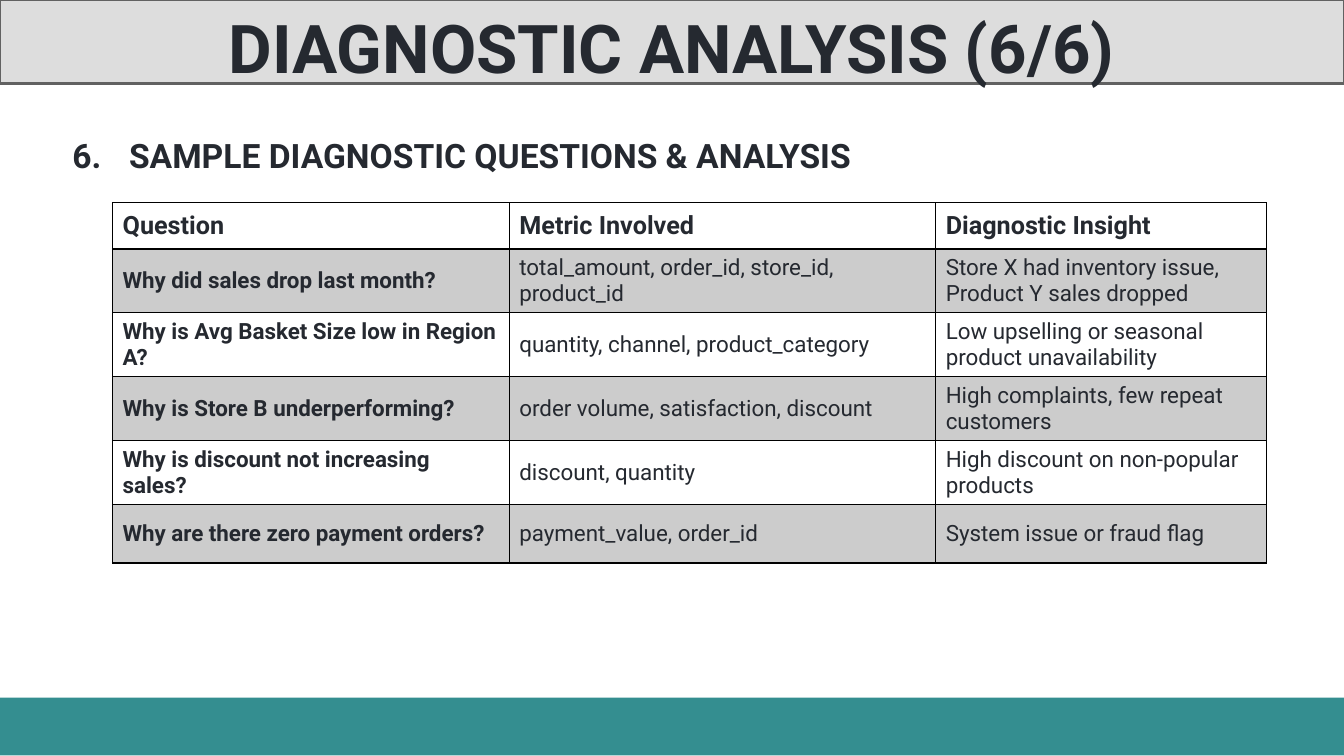
from lxml.etree import SubElement
from pptx import Presentation
from pptx.dml.color import RGBColor
from pptx.enum.shapes import MSO_SHAPE as Shape
from pptx.enum.text import MSO_ANCHOR as Anchor, MSO_AUTO_SIZE as AutoSize, PP_ALIGN as Align
from pptx.oxml.ns import qn
from pptx.util import Pt

# Content
TITLE = "DIAGNOSTIC ANALYSIS (6/6)"
SECTION_NUMBER = 6
SECTION = "SAMPLE DIAGNOSTIC QUESTIONS & ANALYSIS"
TABLE_ROWS = [
    ("Question", "Metric Involved", "Diagnostic Insight"),
    ("Why did sales drop last month?", "total_amount, order_id, store_id, product_id",
     "Store X had inventory issue, Product Y sales dropped"),
    ("Why is Avg Basket Size low in Region A?", "quantity, channel, product_category",
     "Low upselling or seasonal product unavailability"),
    ("Why is Store B underperforming?", "order volume, satisfaction, discount",
     "High complaints, few repeat customers"),
    ("Why is discount not increasing sales?", "discount, quantity",
     "High discount on non-popular products"),
    ("Why are there zero payment orders?", "payment_value, order_id",
     "System issue or fraud flag"),
]


class Theme:
    font = "Roboto"
    text = RGBColor.from_string("252930")
    teal = RGBColor.from_string("348E90")
    bar = RGBColor.from_string("DDDDDD")
    bar_line = RGBColor.from_string("616161")
    black = "000000"
    band_alpha = 20
    title_size, section_size, header_size, body_size = 48, 24, 18, 16


# Layout in points
SLIDE_WIDTH, SLIDE_HEIGHT = 960, 540
TITLE_HEIGHT, TITLE_SPACING = 59.8, 64.3
FOOTER_TOP, FOOTER_HEIGHT = 498.4, 41.2
SECTION_BOX = (44.6, 78.5, 860.4, 46.1)
SECTION_INDENT = 40.5
TABLE_LEFT, TABLE_TOP = 80.4, 144.8
COLUMN_WIDTHS = (283.4, 304.6, 236.4)
HEADER_HEIGHT, ROW_HEIGHT = 33.1, 41.8


def place(shape, left, top, width, height):
    values = dict(left=left, top=top, width=width, height=height)
    for name, value in values.items():
        setattr(shape, name, Pt(value))


def write(paragraph, text, size, bold=True):
    run = paragraph.add_run()
    run.text = text
    formats = dict(name=Theme.font, size=Pt(size), bold=bold)
    for name, value in formats.items():
        setattr(run.font, name, value)
    run.font.color.rgb = Theme.text


def add_borders(cell, bottom_width):
    properties = cell._tc.get_or_add_tcPr()
    widths = {"a:lnL": 1, "a:lnR": 1, "a:lnT": 1, "a:lnB": bottom_width}
    for tag, width in widths.items():
        line = SubElement(properties, qn(tag), w=str(Pt(width)))
        fill = SubElement(line, qn("a:solidFill"))
        SubElement(fill, qn("a:srgbClr"), val=Theme.black)


def fill_band(cell):
    cell.fill.solid()
    cell.fill.fore_color.rgb = RGBColor.from_string(Theme.black)
    color = cell._tc.tcPr.find(qn("a:solidFill")).find(qn("a:srgbClr"))
    SubElement(color, qn("a:alpha"), val=str(Theme.band_alpha * 1000))


def add_footer(slide):
    footer = slide.shapes.add_shape(
        Shape.RECTANGLE, 0, Pt(FOOTER_TOP), Pt(SLIDE_WIDTH), Pt(FOOTER_HEIGHT))
    footer.shadow.inherit = False
    footer.fill.solid()
    footer.fill.fore_color.rgb = Theme.teal
    footer.line.fill.background()


def add_title(slide):
    title = slide.shapes.title
    place(title, 0, 0, SLIDE_WIDTH, TITLE_HEIGHT)
    title.fill.solid()
    title.fill.fore_color.rgb = Theme.bar
    title.line.color.rgb = Theme.bar_line
    title.line.width = Pt(2)
    frame = title.text_frame
    frame.auto_size = AutoSize.NONE
    frame.vertical_anchor = Anchor.MIDDLE
    paragraph = frame.paragraphs[0]
    paragraph.alignment = Align.CENTER
    paragraph.line_spacing = Pt(TITLE_SPACING)
    write(paragraph, TITLE, Theme.title_size)


def add_section(slide):
    box = slide.shapes.add_textbox(*map(Pt, SECTION_BOX))
    frame = box.text_frame
    frame.word_wrap = True
    frame.auto_size = AutoSize.SHAPE_TO_FIT_TEXT
    paragraph = frame.paragraphs[0]
    properties = paragraph._p.get_or_add_pPr()
    properties.set("marL", str(Pt(SECTION_INDENT)))
    properties.set("indent", str(-Pt(SECTION_INDENT)))
    SubElement(properties, qn("a:buFont"), typeface=Theme.font)
    SubElement(properties, qn("a:buAutoNum"), type="arabicPeriod", startAt=str(SECTION_NUMBER))
    paragraph.line_spacing = 1.5
    write(paragraph, SECTION, Theme.section_size)


def add_question_table(slide):
    heights = [HEADER_HEIGHT] + [ROW_HEIGHT] * (len(TABLE_ROWS) - 1)
    table = slide.shapes.add_table(
        len(TABLE_ROWS), len(COLUMN_WIDTHS), Pt(TABLE_LEFT), Pt(TABLE_TOP),
        Pt(sum(COLUMN_WIDTHS)), Pt(sum(heights))).table
    for column, width in zip(table.columns, COLUMN_WIDTHS):
        column.width = Pt(width)
    for row_index, (texts, height) in enumerate(zip(TABLE_ROWS, heights)):
        table.rows[row_index].height = Pt(height)
        is_header = row_index == 0
        size = Theme.header_size if is_header else Theme.body_size
        for column_index, text in enumerate(texts):
            cell = table.cell(row_index, column_index)
            cell.vertical_anchor = Anchor.MIDDLE
            add_borders(cell, 2 if is_header else 1)
            if row_index % 2:
                fill_band(cell)
            else:
                cell.fill.background()
            write(cell.text_frame.paragraphs[0], text, size, is_header or column_index == 0)


def main():
    presentation = Presentation()
    presentation.slide_width, presentation.slide_height = Pt(SLIDE_WIDTH), Pt(SLIDE_HEIGHT)
    slide = presentation.slides.add_slide(presentation.slide_layouts.get_by_name("Title Only"))
    add_footer(slide)
    add_title(slide)
    add_section(slide)
    add_question_table(slide)
    presentation.save("out.pptx")


if __name__ == "__main__":
    main()
